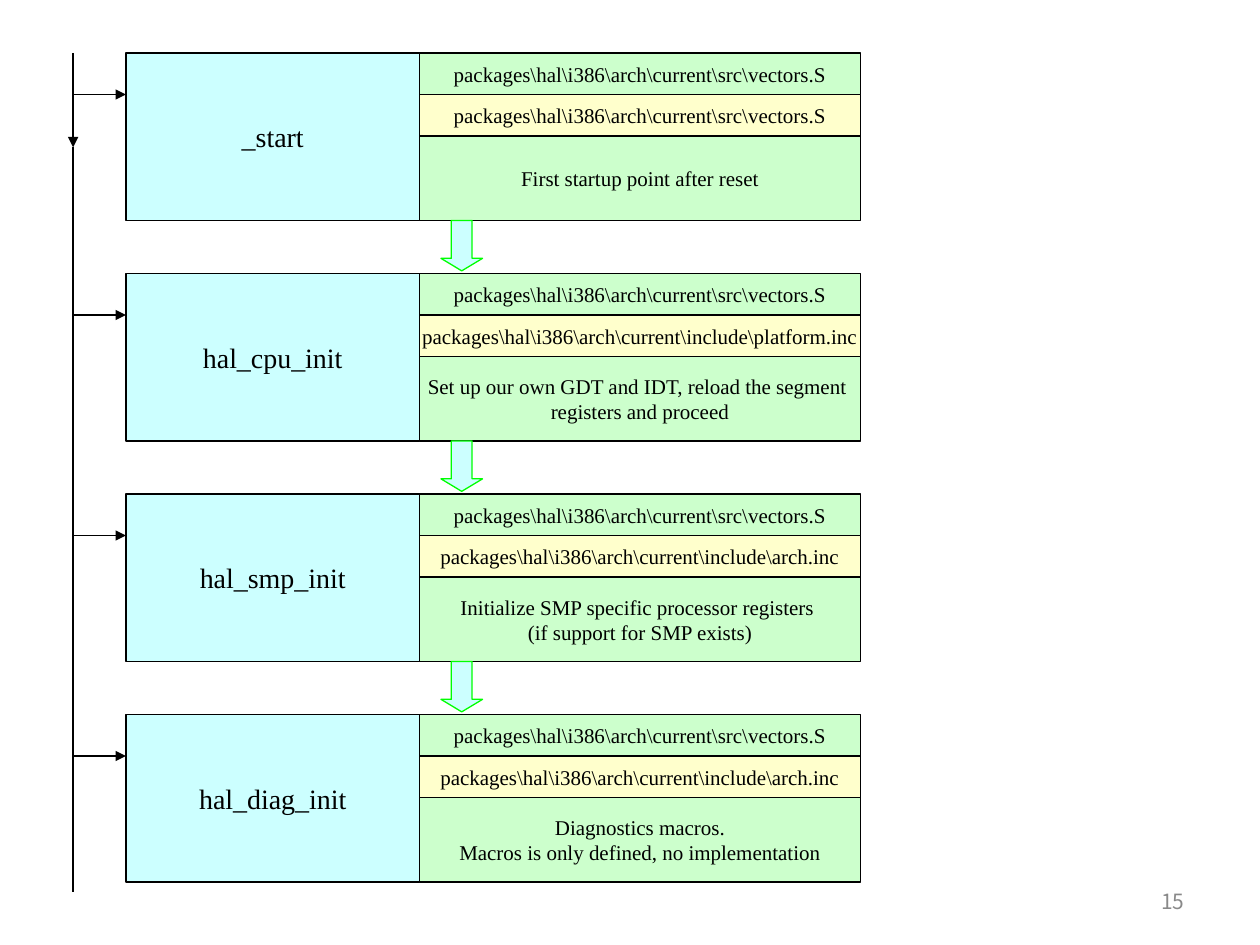
"""Build a slide showing the HAL startup call sequence."""
from lxml.etree import SubElement
from pptx import Presentation
from pptx.dml.color import RGBColor
from pptx.enum.shapes import MSO_CONNECTOR, MSO_SHAPE
from pptx.enum.text import MSO_ANCHOR, PP_ALIGN
from pptx.oxml.ns import qn
from pptx.util import Inches, Pt

BLACK = RGBColor(0x00, 0x00, 0x00)
GRAY = RGBColor(0x89, 0x89, 0x89)
CYAN = RGBColor(0xCC, 0xFF, 0xFF)
GREEN = RGBColor(0xCC, 0xFF, 0xCC)
YELLOW = RGBColor(0xFF, 0xFF, 0xCC)
LIME = RGBColor(0x00, 0xFF, 0x00)

BODY_FONT = "Times New Roman"
NUMBER_FONT = "Noto Sans CJK KR"

TOP, PITCH = 0.42, 1.75
NAME_LEFT, NAME_WIDTH = 1, 2.33
DETAIL_LEFT, DETAIL_WIDTH = 3.33, 3.5
ROW, STAGE_HEIGHT = 0.33, 1.33
RAIL = 0.58

CALLER = r"packages\hal\i386\arch\current\src\vectors.S"
ARCH_INC = r"packages\hal\i386\arch\current\include\arch.inc"
PLATFORM_INC = r"packages\hal\i386\arch\current\include\platform.inc"

STAGES = [
    ("_start", CALLER, "First startup point after reset"),
    ("hal_cpu_init", PLATFORM_INC,
     "Set up our own GDT and IDT, reload the segment \nregisters and proceed"),
    ("hal_smp_init", ARCH_INC,
     "Initialize SMP specific processor registers \n(if support for SMP exists)"),
    ("hal_diag_init", ARCH_INC,
     "Diagnostics macros.\nMacros is only defined, no implementation"),
]


def write(shape, text, size, font=BODY_FONT, color=BLACK, align=PP_ALIGN.CENTER, wrap=False):
    frame = shape.text_frame
    frame.text = text
    frame.word_wrap = wrap
    frame.vertical_anchor = MSO_ANCHOR.MIDDLE
    for paragraph in frame.paragraphs:
        paragraph.alignment = align
        for run in paragraph.runs:
            run.font.size = Pt(size)
            run.font.name = font
            run.font.color.rgb = color


def add_filled(shapes, kind, left, top, width, height, fill, line):
    shape = shapes.add_shape(kind, Inches(left), Inches(top), Inches(width), Inches(height))
    shape.shadow.inherit = False
    shape.fill.solid()
    shape.fill.fore_color.rgb = fill
    shape.line.color.rgb = line
    shape.line.width = Pt(0.75)
    return shape


def add_cell(shapes, left, top, width, height, fill, text, size=12):
    cell = add_filled(shapes, MSO_SHAPE.RECTANGLE, left, top, width, height, fill, BLACK)
    write(cell, text, size)


def add_line(shapes, start, end, width=0.75, arrow=False):
    line = shapes.add_connector(MSO_CONNECTOR.STRAIGHT, *map(Inches, start + end))
    line.line.color.rgb = BLACK
    line.line.width = Pt(width)
    properties = line.element.spPr
    if arrow:
        SubElement(properties.find(qn("a:ln")), qn("a:tailEnd"), type="triangle")
    SubElement(properties, qn("a:effectLst"))


def add_stage(slide, index, name, source, purpose):
    shapes = slide.shapes.add_group_shape().shapes
    top = TOP + index * PITCH
    add_cell(shapes, NAME_LEFT, top, NAME_WIDTH, STAGE_HEIGHT, CYAN, name, 16)
    add_cell(shapes, DETAIL_LEFT, top + 2 * ROW, DETAIL_WIDTH, STAGE_HEIGHT - 2 * ROW,
             GREEN, purpose)
    add_cell(shapes, DETAIL_LEFT, top, DETAIL_WIDTH, ROW, GREEN, CALLER)
    add_cell(shapes, DETAIL_LEFT, top + ROW, DETAIL_WIDTH, ROW, YELLOW, source)
    if index:
        flow = add_filled(shapes, MSO_SHAPE.DOWN_ARROW, 3.5, top - 0.42, 0.33, 0.4, CYAN, LIME)
        flow.adjustments[0] = 0.5
        flow.adjustments[1] = 0.3


def add_rail(slide):
    for index in range(len(STAGES)):
        level = TOP + ROW + index * PITCH
        add_line(slide.shapes, (RAIL, level), (NAME_LEFT, level), arrow=True)
    rail = slide.shapes.add_group_shape().shapes
    add_line(rail, (RAIL, TOP), (RAIL, 1.17), width=1.5, arrow=True)
    add_line(rail, (RAIL, 1.17), (RAIL, 7.08))


def add_page_number(slide, number):
    box = slide.shapes.add_textbox(Inches(7.17), Inches(6.95), Inches(2.33), Inches(0.4))
    write(box, number, 12, NUMBER_FONT, GRAY, PP_ALIGN.RIGHT, wrap=True)


def main():
    presentation = Presentation()
    presentation.slide_width = Inches(10)
    presentation.slide_height = Inches(7.5)
    slide = presentation.slides.add_slide(presentation.slide_layouts[6])
    add_page_number(slide, "15")
    for index, stage in enumerate(STAGES):
        add_stage(slide, index, *stage)
    add_rail(slide)
    presentation.save("out.pptx")


if __name__ == "__main__":
    main()
